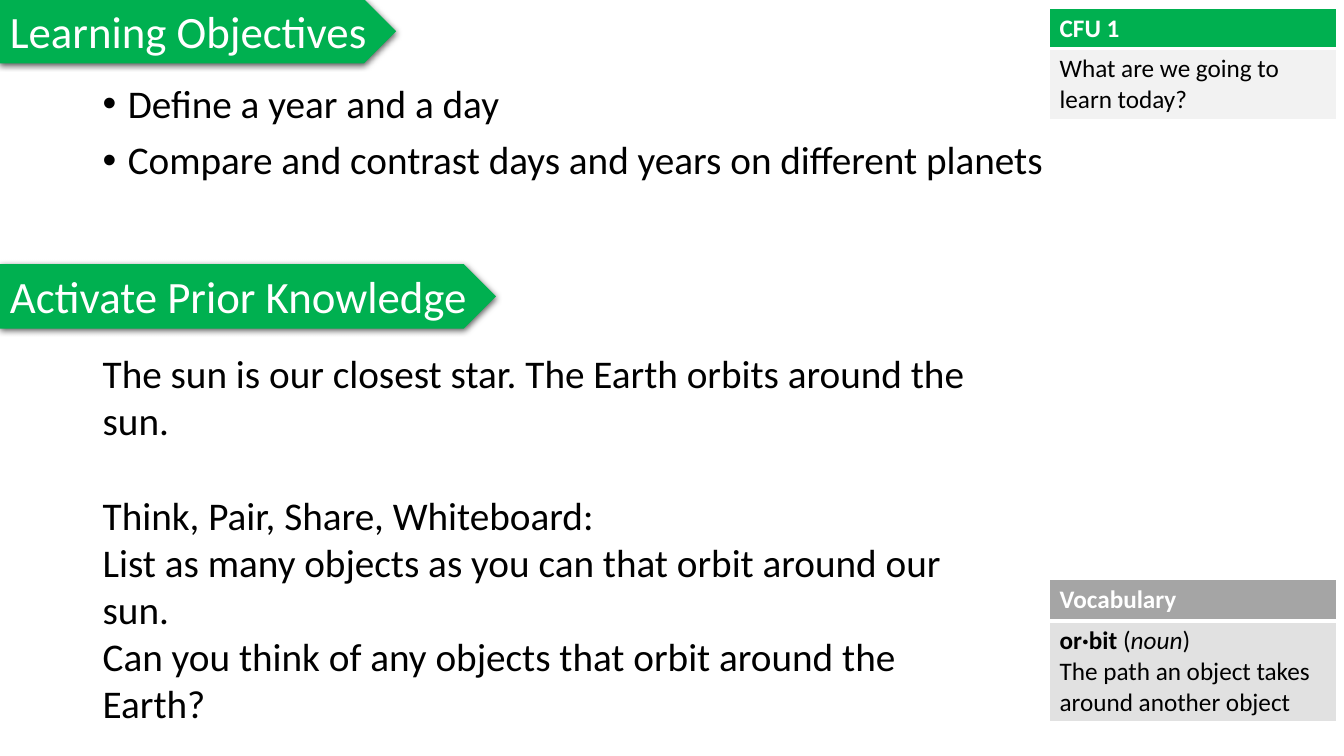
"""Build the lesson slide with goals, a prior knowledge task and two side cards."""
from dataclasses import dataclass, field

import lxml.etree
import pptx
import pptx.dml.color
import pptx.enum.shapes
import pptx.enum.text
import pptx.oxml
import pptx.oxml.ns
import pptx.slide
import pptx.table
import pptx.text.text
import pptx.util

Inches = pptx.util.Inches
Pt = pptx.util.Pt
qn = pptx.oxml.ns.qn

HUES = {
    "green": "00B050",
    "white": "FFFFFF",
    "black": "000000",
    "pale": "F2F2F2",
    "gray": "A5A5A5",
    "light": "E1E1E1",
}
BASE = {"name": "Calibri", "bold": False, "italic": False}
HEAD = BASE | {"size": Pt(32)}
BODY = BASE | {"size": Pt(28)}
CARD = BASE | {"size": Pt(18)}


@dataclass
class Run:
    text: str
    look: dict = field(default_factory=dict)


@dataclass
class Banner:
    text: str
    top: float
    width: float


@dataclass
class Line:
    text: str
    look: dict


@dataclass
class Block:
    box: tuple[float, float, float, float]
    lines: list[Line]
    bullet: bool = False


@dataclass
class Card:
    top: float
    rows: tuple[float, float]
    fills: tuple[str, str]
    title: str
    lines: list[list[Run]]


BULLET = {"line_spacing": 0.9, "space_before": Pt(10)}
FIRST = {"line_spacing": 0.9}

BANNERS = [
    Banner("Learning Objectives", -0.01, 3.93),
    Banner("Activate Prior Knowledge", 2.62, 4.92),
]
BLOCKS = [
    Block((0.92, 0.79, 11.5, 1.77), [
        Line("Define a year and a day", FIRST),
        Line("Compare and contrast days and years on different planets", BULLET),
    ], True),
    Block((0.92, 3.42, 8.99, 3.87), [
        Line("The sun is our closest star. The Earth orbits around the sun.", {}),
        Line("Think, Pair, Share, Whiteboard: \vList as many objects as you can"
             " that orbit around our sun.", {"space_before": Pt(34)}),
        Line("Can you think of any objects that orbit around the Earth?", {}),
    ]),
]
CARDS = [
    Card(0.08, (0.39, 0.71), ("green", "pale"), "CFU 1",
         [[Run("What are we going to learn today?")]]),
    Card(5.75, (0.41, 1.0), ("gray", "light"), "Vocabulary", [
        [Run("or·bit ", {"bold": True}), Run("("),
         Run("noun", {"italic": True}), Run(")")],
        [Run("The path an object takes around another object")],
    ]),
]


def style(part: object, look: dict) -> None:
    for key, value in look.items():
        setattr(part, key, value)


def paint(run: pptx.text.text._Run, look: dict, hue: str) -> None:
    style(run.font, look)
    run.font.color.rgb = pptx.dml.color.RGBColor.from_string(HUES[hue])


def next_para(frame: pptx.text.text.TextFrame, index: int) -> pptx.text.text._Paragraph:
    return frame.add_paragraph() if index else frame.paragraphs[0]


def draw_banner(slide: pptx.slide.Slide, banner: Banner) -> None:
    shape = slide.shapes.add_shape(
        pptx.enum.shapes.MSO_SHAPE.PENTAGON,
        Inches(0), Inches(banner.top), Inches(banner.width), Inches(0.64))
    shape.fill.solid()
    shape.fill.fore_color.rgb = pptx.dml.color.RGBColor.from_string(HUES["green"])
    shape.line.fill.background()
    shape.shadow.inherit = False
    glow = lxml.etree.SubElement(
        shape.element.spPr.find(qn("a:effectLst")), qn("a:outerShdw"),
        blurRad=str(Pt(4.5)), dist=str(Pt(1.5)), dir="5400000", rotWithShape="0")
    tint = lxml.etree.SubElement(glow, qn("a:srgbClr"), val=HUES["black"])
    lxml.etree.SubElement(tint, qn("a:alpha"), val="63000")
    style(shape.text_frame, {
        "word_wrap": False,
        "vertical_anchor": pptx.enum.text.MSO_ANCHOR.TOP,
    })
    para = shape.text_frame.paragraphs[0]
    para.alignment = pptx.enum.text.PP_ALIGN.LEFT
    para.text = banner.text
    paint(para.runs[0], HEAD, "white")


def draw_block(slide: pptx.slide.Slide, block: Block) -> None:
    frame = slide.shapes.add_textbox(*map(Inches, block.box)).text_frame
    frame.word_wrap = True
    for index, line in enumerate(block.lines):
        para = next_para(frame, index)
        para.text = line.text
        if block.bullet:
            props = para._p.get_or_add_pPr()
            props.set("marL", str(Inches(0.25)))
            props.set("indent", str(Inches(-0.25)))
            lxml.etree.SubElement(props, qn("a:buFont"), typeface="Arial")
            lxml.etree.SubElement(props, qn("a:buChar"), char="•")
        style(para, line.look)
        for run in para.runs:
            paint(run, BODY, "black")


def edge_cell(cell: pptx.table._Cell, edges: dict[str, float]) -> None:
    props = cell._tc.get_or_add_tcPr()
    for index, (side, width) in enumerate(edges.items()):
        edge = lxml.etree.Element(qn(f"a:ln{side}"), w=str(Pt(width)))
        fill = lxml.etree.SubElement(edge, qn("a:solidFill"))
        lxml.etree.SubElement(fill, qn("a:srgbClr"), val=HUES["white"])
        props.insert(index, edge)


def draw_card(slide: pptx.slide.Slide, card: Card) -> None:
    table = slide.shapes.add_table(
        2, 1, Inches(10.41), Inches(card.top),
        Inches(2.85), Inches(sum(card.rows))).table
    table.horz_banding = False
    title = [[Run(card.title, {"bold": True})]]
    parts = zip(card.rows, card.fills, (title, card.lines), ("white", "black"),
                ({"L": 1, "R": 1, "T": 1, "B": 3}, {"L": 1, "R": 1, "T": 3, "B": 1}))
    for row, (height, fill, lines, hue, edges) in enumerate(parts):
        table.rows[row].height = Inches(height)
        cell = table.cell(row, 0)
        cell.fill.solid()
        cell.fill.fore_color.rgb = pptx.dml.color.RGBColor.from_string(HUES[fill])
        edge_cell(cell, edges)
        for index, line in enumerate(lines):
            para = next_para(cell.text_frame, index)
            for piece in line:
                run = para.add_run()
                run.text = piece.text
                paint(run, CARD | piece.look, hue)


def main() -> None:
    deck = pptx.Presentation()
    style(deck, {"slide_width": Inches(13.33), "slide_height": Inches(7.5)})
    slide = deck.slides.add_slide(deck.slide_layouts[6])
    for banner in BANNERS:
        draw_banner(slide, banner)
    for block in BLOCKS:
        draw_block(slide, block)
    for card in CARDS:
        draw_card(slide, card)
    deck.save("out.pptx")


if __name__ == "__main__":
    main()
